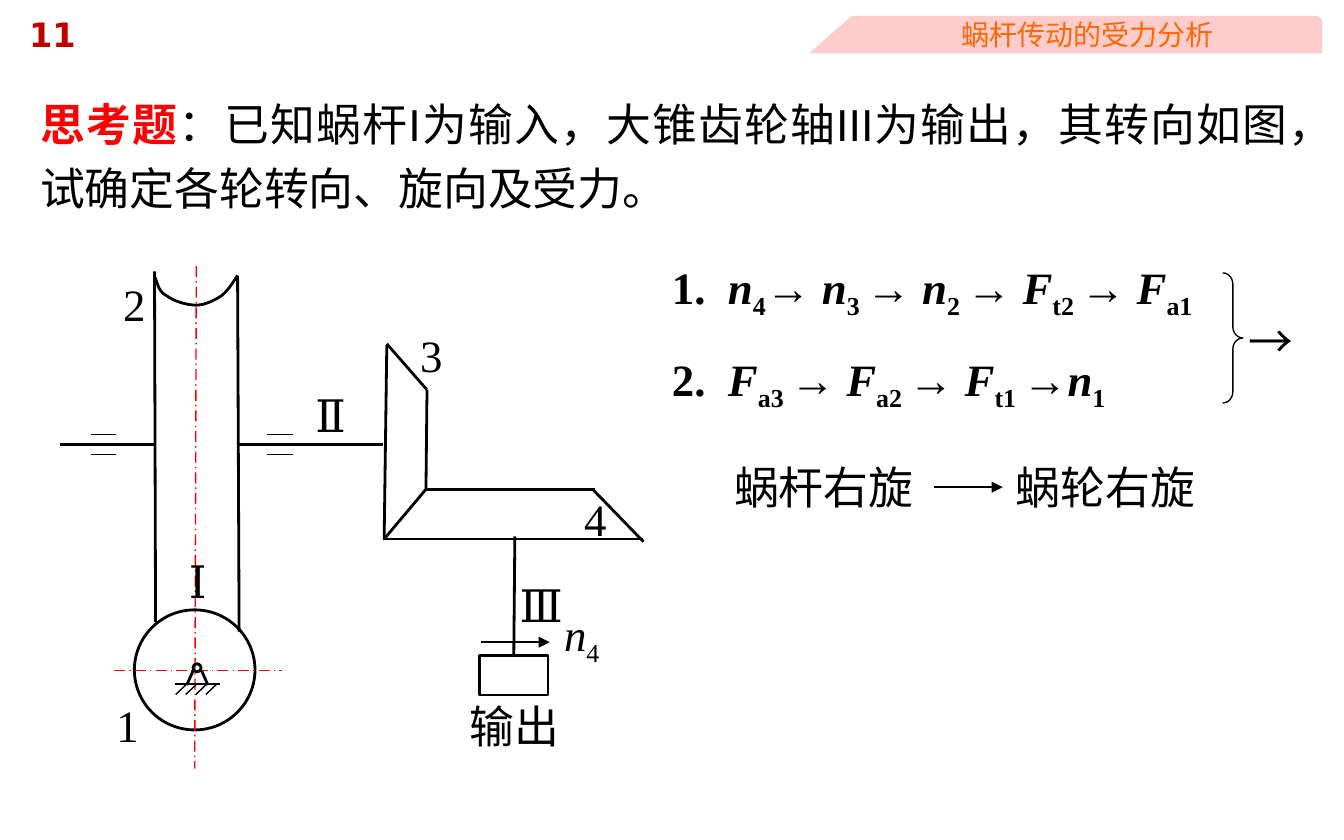
from lxml import etree
from pptx import Presentation
from pptx.dml.color import RGBColor
from pptx.enum.dml import MSO_LINE
from pptx.enum.shapes import MSO_CONNECTOR, MSO_SHAPE
from pptx.enum.text import MSO_ANCHOR, MSO_AUTO_SIZE, PP_ALIGN
from pptx.oxml.ns import qn
from pptx.util import Cm, Pt

STRAIGHT = MSO_CONNECTOR.STRAIGHT
RECT, OVAL = MSO_SHAPE.RECTANGLE, MSO_SHAPE.OVAL
BRACE = MSO_SHAPE.RIGHT_BRACE
BAND, WEDGE = MSO_SHAPE.ROUND_1_RECTANGLE, MSO_SHAPE.RIGHT_TRIANGLE
DASH = MSO_LINE.LONG_DASH_DOT
MIDDLE = MSO_ANCHOR.MIDDLE
NO_FIT, GROW = MSO_AUTO_SIZE.NONE, MSO_AUTO_SIZE.SHAPE_TO_FIT_TEXT
CENTER, JUSTIFY = PP_ALIGN.CENTER, PP_ALIGN.JUSTIFY

SERIF, SANS, CJK = "Times New Roman", "DejaVu Sans", "Noto Sans CJK SC"
BLACK, RED, PINK = "000000", "FF0000", "FFCCCC"
THIN, THICK = 0.75, 1.5


def color(hex_code):
    return RGBColor.from_string(hex_code)


def style(font, name, size=24, tint=BLACK):
    font.name, font.size = name, Pt(size)
    font.color.rgb = color(tint)


def add_text(slide, box, text, name=SERIF, size=24, tint=BLACK, wrap=False):
    label = slide.shapes.add_textbox(*map(Cm, box))
    frame = label.text_frame
    frame.word_wrap, frame.auto_size = wrap, GROW
    para = frame.paragraphs[0]
    if text:
        para.add_run().text = text
    style(para.font, name, size, tint)
    return label


def add_form(slide, kind, box, fill=None, width=THICK):
    form = slide.shapes.add_shape(kind, *map(Cm, box))
    form.shadow.inherit = False
    if fill:
        form.fill.solid()
        form.fill.fore_color.rgb = color(fill)
        form.line.fill.background()
    else:
        form.fill.background()
        form.line.color.rgb = color(BLACK)
        form.line.width = Pt(width)
    return form


def add_line(slide, ends, width=THICK, tint=BLACK, dash=None, arrow=False):
    line = slide.shapes.add_connector(STRAIGHT, *map(Cm, ends))
    line.line.color.rgb = color(tint)
    line.line.width = Pt(width)
    if dash:
        line.line.dash_style = dash
    if arrow:
        etree.SubElement(line.line._get_or_add_ln(), qn("a:tailEnd"), type="triangle")
    etree.SubElement(line._element.spPr, qn("a:effectLst"))
    return line


def add_symbol(para, base, sub):
    run = para.add_run()
    run.text, run.font.italic = base, True
    run = para.add_run()
    run.text = sub
    run._r.get_or_add_rPr().set("baseline", "-25000")


def add_chain(slide, box, number, terms):
    """Numbered chain of symbols, each term being (base, sub, arrow)."""
    para = add_text(slide, box, number).text_frame.paragraphs[0]
    para.font.bold = True
    for base, sub, arrow in terms:
        add_symbol(para, base, sub)
        if arrow:
            para.add_run().text = arrow


def draw_header(slide, left, top, width, height):
    # Page number
    label = add_text(slide, (0.3, 0.13, 5.8, 0.84), "11", SANS, 18, "C00000")
    label.text_frame.paragraphs[0].font.bold = True
    # Banner with a slanted left end
    slant = 0.81
    band = (left + slant, top, width - slant, height)
    add_form(slide, BAND, band, PINK)
    wedge = add_form(slide, WEDGE, (left, top, slant, height), PINK)
    wedge._element.spPr.xfrm.set("flipH", "1")
    # Title on the banner
    title = slide.shapes.title
    title.left, title.top, title.width, title.height = map(Cm, band)
    frame = title.text_frame
    frame.text = "蜗杆传动的受力分析"
    frame.vertical_anchor, frame.auto_size = MIDDLE, NO_FIT
    para = frame.paragraphs[0]
    para.alignment = CENTER
    style(para.font, SANS, 15, "FF6600")
    slide.shapes._spTree.append(title._element)


def draw_question(slide, box):
    para = add_text(slide, box, "", "Arial", wrap=True).text_frame.paragraphs[0]
    para.alignment, para.line_spacing = JUSTIFY, 1.2
    head, body = para.add_run(), para.add_run()
    head.text = "思考题"
    head.font.bold, head.font.color.rgb = True, color(RED)
    body.text = "：已知蜗杆I为输入，大锥齿轮轴III为输出，其转向如图，试确定各轮转向、旋向及受力。"


def bezier(start, curves, steps=10):
    points = [start]
    for b, c, d in curves:
        a = points[-1]
        for k in range(1, steps + 1):
            t = k / steps
            u = 1 - t
            points.append(tuple(u**3 * p + 3 * u * u * t * q + 3 * u * t * t * r + t**3 * s
                                for p, q, r, s in zip(a, b, c, d)))
    return points


def draw_gears(slide, left, top):
    def line(x1, y1, x2, y2, *args, **more):
        return add_line(slide, (left + x1, top + y1, left + x2, top + y2), *args, **more)

    def form(kind, x, y, w, h):
        return add_form(slide, kind, (left + x, top + y, w, h))

    def text(x, y, w, words):
        return add_text(slide, (left + x, top + y, w, 1.3), words)

    # Worm, worm wheel and its grooved rim
    form(OVAL, 1.4, 6.5, 2.28, 2.27)
    line(1.8, 6.73, 1.78, 0.1)
    line(3.38, 6.91, 3.35, 0.18)
    rim = bezier((1.78, 0.2), [((1.83, 0.25), (1.83, 0.48), (2.01, 0.56)),
                               ((2.13, 0.66), (2.39, 0.74), (2.57, 0.74)),
                               ((2.72, 0.74), (2.9, 0.66), (3.05, 0.56)),
                               ((3.18, 0.46), (3.3, 0.25), (3.35, 0.18))])
    points = [(Cm(left + x), Cm(top + y)) for x, y in rim]
    pen = slide.shapes.build_freeform(*points[0])
    pen.add_line_segments(points[1:], close=False)
    groove = pen.convert_to_shape()
    groove.shadow.inherit = False
    groove.fill.background()
    groove.line.color.rgb, groove.line.width = color(BLACK), Pt(THICK)

    # Shaft II with bearings
    line(0, 3.38, 1.78, 3.38)
    line(3.35, 3.38, 6.1, 3.38)
    for x in (0.58, 3.91):
        for y in (3.18, 3.56):
            line(x, y, x + 0.48, y, THIN)

    # Centre lines
    line(2.57, 0, 2.54, 9.5, THIN, RED, DASH)
    line(1.02, 7.65, 4.19, 7.65, THIN, RED, DASH)

    # Bevel gears 3 and 4
    for ends in ((6.17, 1.5, 6.12, 5.16), (6.93, 2.34, 6.17, 1.47),
                 (6.93, 2.34, 6.91, 4.24), (6.91, 4.22, 6.12, 5.16),
                 (6.93, 4.22, 10.11, 4.22), (10.08, 4.24, 11.02, 5.21),
                 (6.1, 5.16, 11.02, 5.16)):
        line(*ends)

    # Shaft III, output block and its direction of rotation
    block = form(RECT, 7.92, 7.37, 1.3, 0.74)
    line(8.59, 5.11, 8.57, 7.37).end_connect(block, 0)
    line(7.95, 7.11, 9.25, 7.11, THIN, arrow=True)
    speed = text(9.27, 6.32, 1.22, "")
    add_symbol(speed.text_frame.paragraphs[0], "n", "4")

    # Worm support
    form(OVAL, 2.51, 7.52, 0.15, 0.15)
    line(2.51, 7.65, 2.39, 7.92)
    line(2.67, 7.65, 2.79, 7.92)
    line(2.16, 7.9, 3.02, 7.9)
    for k in range(4):
        x = 2.39 + 0.19 * k
        line(x, 7.9, x - 0.21, 8.1, THIN)

    # Labels
    for label in ((7.49, 8.05, 2.24, "输出"), (8.43, 5.77, 1.32, "Ⅲ"),
                  (2.18, 5.31, 0.79, "Ⅰ"), (4.57, 2.18, 1.07, "Ⅱ"),
                  (0.81, 8.03, 0.94, "1"), (0.94, 0.08, 0.94, "2"),
                  (6.55, 1.04, 0.94, "3"), (9.65, 4.14, 0.94, "4")):
        text(*label)


def draw_answer(slide, left, top):
    # Two chains of reasoning
    add_chain(slide, (left, top, 10.9, 1.27), "1.  ",
              [("n", "4", "→ "), ("n", "3 ", "→ "), ("n", "2 ", "→ "),
               ("F", "t2 ", "→ "), ("F", "a1", "")])
    add_chain(slide, (left, top + 1.75, 9.09, 1.27), "2.  ",
              [("F", "a3 ", "→ "), ("F", "a2 ", "→ "), ("F", "t1 ", "→"), ("n", "1", "")])
    # Brace that joins them
    brace = add_form(slide, BRACE, (left + 10.66, top + 0.38, 0.38, 2.46), width=THIN)
    brace.adjustments[0] = 0.56
    add_text(slide, (left + 10.9, top + 1.02, 1.37, 1.3), "→", CJK)
    # Conclusion
    worm = add_text(slide, (left + 0.86, top + 3.91, 4.52, 1.02), "蜗杆右旋", CJK, wrap=True)
    frame = worm.text_frame
    frame.margin_left = frame.margin_right = frame.margin_top = frame.margin_bottom = 0
    frame.paragraphs[0].alignment = CENTER
    wheel = add_text(slide, (left + 6.5, top + 3.78, 3.94, 1.3), "蜗轮右旋", CJK)
    y = top + 4.43
    arrow = add_line(slide, (left + 5.2, y, left + 6.5, y), THIN, arrow=True)
    arrow.end_connect(wheel, 1)


def main():
    deck = Presentation()
    deck.slide_width, deck.slide_height = Cm(25.4), Cm(15.88)
    slide = deck.slides.add_slide(deck.slide_layouts[5])
    draw_header(slide, 15.29, 0.3, 9.7, 0.71)
    draw_answer(slide, 12.45, 4.78)
    draw_gears(slide, 1.14, 5.03)
    draw_question(slide, (0.51, 1.5, 24.1, 2.72))
    deck.save("out.pptx")


if __name__ == "__main__":
    main()
